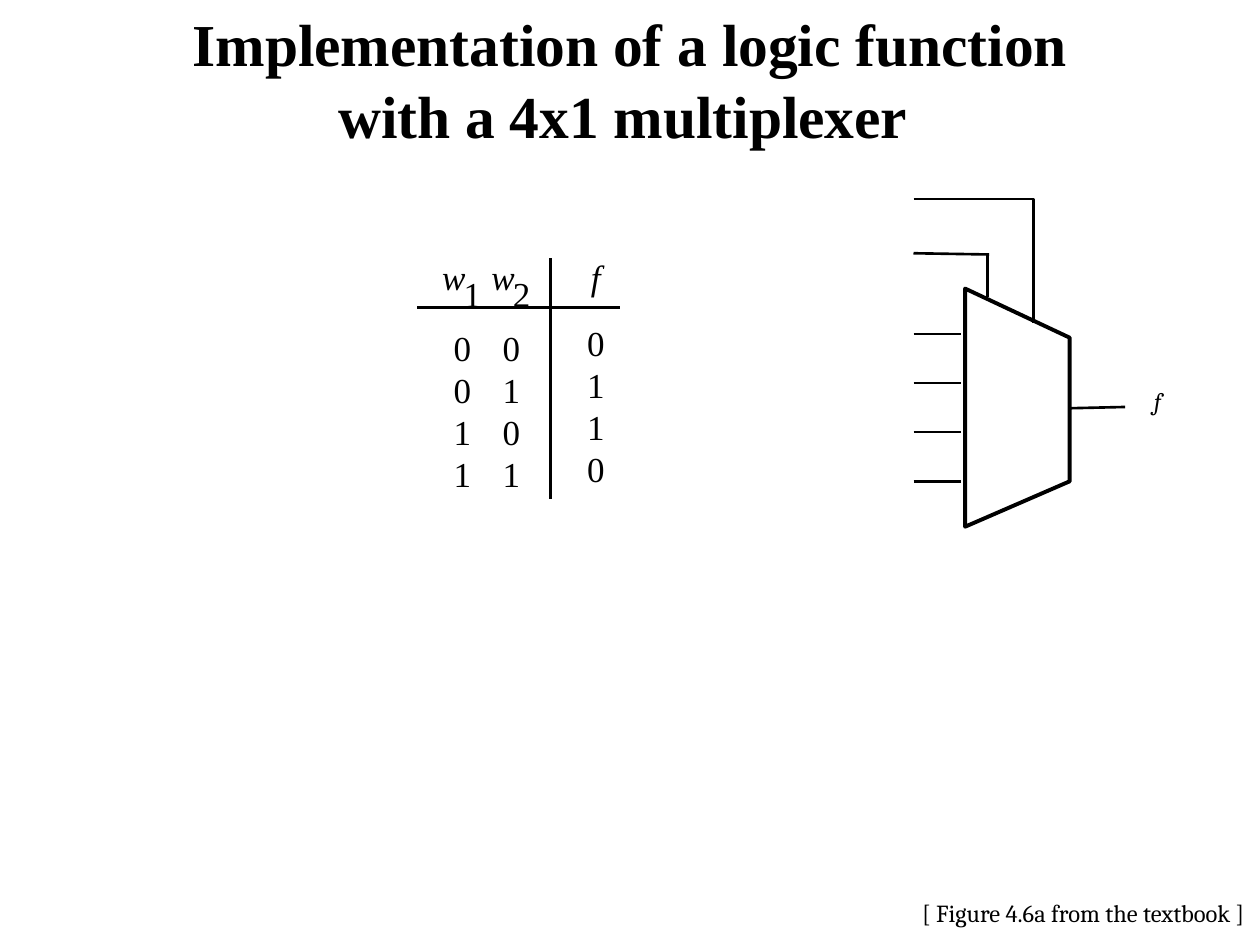
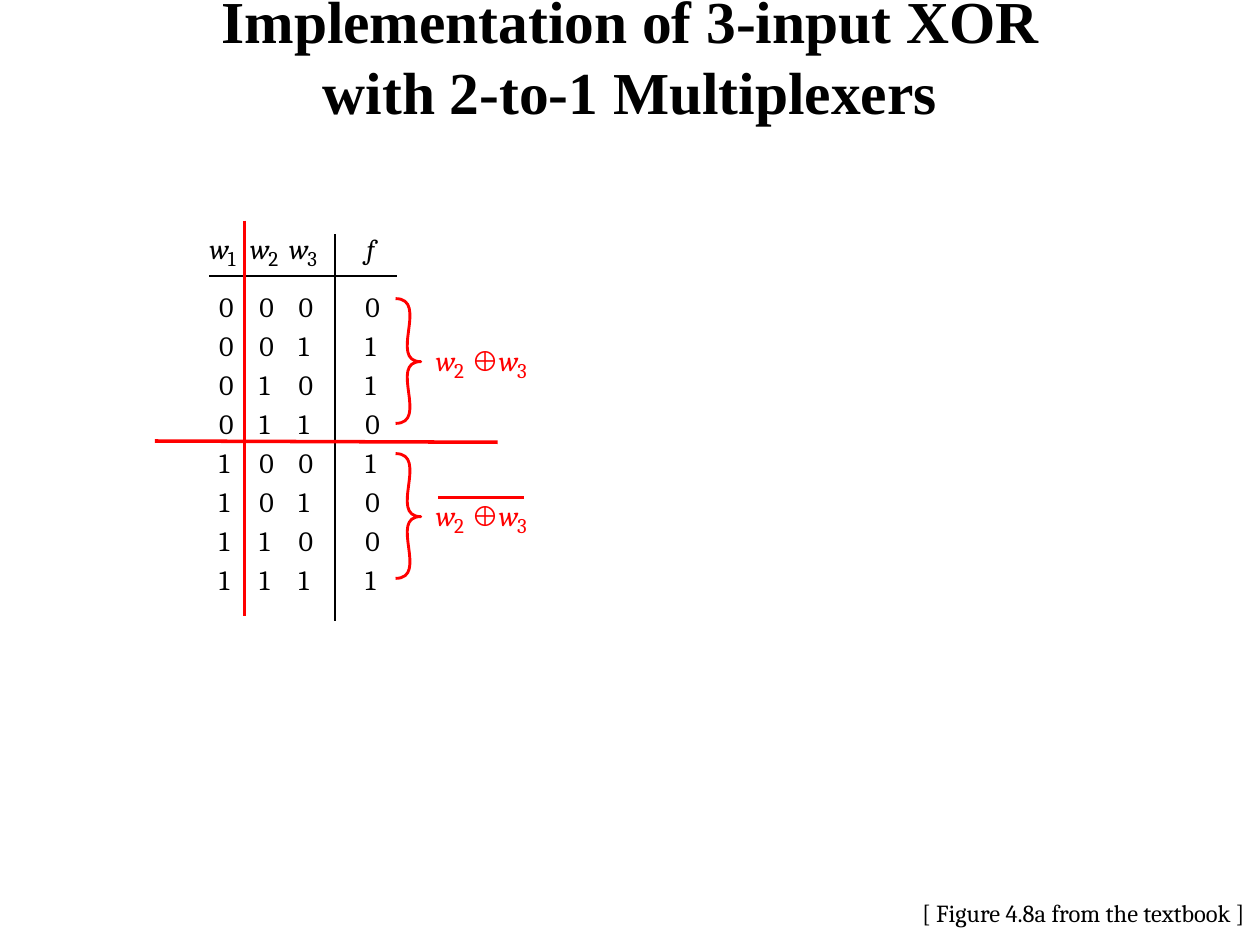
from dataclasses import dataclass
from itertools import product

from lxml import etree
from pptx import Presentation
from pptx.dml.color import RGBColor
from pptx.enum import shapes, text
from pptx.oxml.ns import qn
from pptx.util import Inches, Pt

COLORS = {"ink": "000000", "mark": "FF0000"}
SERIF = "Times New Roman"
BOOK = "Cambria"
TITLE_ONLY = 5


@dataclass
class TruthStyle:
    font: str
    size: int
    sub_size: int
    sub_dx: float
    sub_dy: float
    head_dx: float
    first_row: float
    row_step: float
    rule_width: float


LARGE = TruthStyle(SERIF, 20, 20, 0.17, 0.13, -0.09, 0.56, 0.333, 1.5)
SMALL = TruthStyle(BOOK, 16, 12, 0.145, 0.11, -0.075, 0.46, 0.309, 0.75)


def rgb(color):
    return RGBColor.from_string(COLORS[color])


def set_font(paragraph, name, size, color="ink", italic=False, bold=False):
    font = paragraph.font
    font.name, font.size = name, Pt(size)
    font.italic, font.bold = italic, bold
    font.color.rgb = rgb(color)


def add_title(slide, lines, height):
    title = slide.shapes.title
    title.left, title.top = Inches(0), Inches(0)
    title.width, title.height = Inches(10), Inches(height)
    frame = title.text_frame
    frame.auto_size = text.MSO_AUTO_SIZE.NONE
    frame.vertical_anchor = text.MSO_ANCHOR.MIDDLE
    frame.text = "\v".join(lines)
    paragraph = frame.paragraphs[0]
    paragraph.alignment = text.PP_ALIGN.CENTER
    set_font(paragraph, SERIF, 34, bold=True)
    for line_break in title._element.iter(qn("a:br")):
        props = etree.SubElement(line_break, qn("a:rPr"))
        etree.SubElement(props, qn("a:latin"), typeface=BOOK)


def add_source_note(slide, figure):
    note = slide.shapes.add_textbox(Inches(7.22), Inches(7.08), Inches(2.78), Inches(0.34))
    note.text_frame.word_wrap = False
    note.text_frame.text = f"[ Figure {figure} from the textbook ]"
    set_font(note.text_frame.paragraphs[0], BOOK, 14)


def add_symbol(slide, x, y, symbol, font, size, color="ink", italic=False):
    label = slide.shapes.add_textbox(Inches(x), Inches(y), Inches(0.26), Inches(size / 60))
    frame = label.text_frame
    frame.margin_left = frame.margin_right = frame.margin_top = frame.margin_bottom = 0
    frame.word_wrap = True
    frame.text = symbol
    set_font(frame.paragraphs[0], font, size, color, italic)


def add_variable(slide, x, y, index, style, color="ink"):
    add_symbol(slide, x, y, "w", style.font, style.size, color, italic=True)
    add_symbol(slide, x + style.sub_dx, y + style.sub_dy, str(index),
               style.font, style.sub_size, color)


def add_rule(slide, start, end, width, color="ink"):
    rule = slide.shapes.add_connector(
        shapes.MSO_CONNECTOR.STRAIGHT, *(Inches(v) for v in (*start, *end)))
    rule.line.color.rgb = rgb(color)
    rule.line.width = Pt(width)
    etree.SubElement(rule._element.spPr, qn("a:effectLst"))


def add_outline(slide, points, width, color="ink", close=False):
    start, *rest = [(Inches(x), Inches(y)) for x, y in points]
    builder = slide.shapes.build_freeform(*start)
    builder.add_line_segments(rest, close=close)
    outline = builder.convert_to_shape()
    outline.shadow.inherit = False
    outline.fill.background()
    outline.line.color.rgb = rgb(color)
    outline.line.width = Pt(width)
    return outline


def add_truth_table(slide, left, top, style, input_xs, output_x, head_x, output_dy=0):
    for index, x in enumerate(input_xs, 1):
        add_variable(slide, left + x + style.head_dx, top, index, style)
    add_symbol(slide, left + head_x, top, "f", style.font, style.size, italic=True)
    for row, inputs in enumerate(product((0, 1), repeat=len(input_xs))):
        y = top + style.first_row + row * style.row_step
        for x, bit in zip(input_xs, inputs):
            add_symbol(slide, left + x, y, str(bit), style.font, style.size)
        add_symbol(slide, left + output_x, y + output_dy, str(sum(inputs) % 2),
                   style.font, style.size)


def add_table_rules(slide, across, down, style):
    left, right, y = across
    top, bottom, x = down
    add_rule(slide, (left, y), (right, y), style.rule_width)
    add_rule(slide, (x, top), (x, bottom), style.rule_width)


def add_multiplexer(slide, left, top):
    def at(x, y):
        return left + x, top + y

    for data_input in range(4):
        y = 1.07 + 0.39 * data_input
        add_rule(slide, at(0, y), at(0.38, y), 1.5)
    add_outline(slide, [at(0, 0), at(0.95, 0), at(0.95, 0.98)], 1.5)
    add_rule(slide, at(0, 0.43), at(0.6, 0.44), 1.5)
    add_rule(slide, at(0.59, 0.43), at(0.59, 0.78), 1.5)
    body = [at(1.24, 2.24), at(1.24, 1.1), at(0.41, 0.71), at(0.41, 2.6)]
    add_outline(slide, body, 2.25, close=True)
    add_rule(slide, at(1.25, 1.66), at(1.68, 1.65), 1.5)
    add_symbol(slide, *at(1.91, 1.48), "f", BOOK, 14, italic=True)


def add_brace(slide, left, top):
    offsets = [(0, 0), (0.27, 0), (-0.06, 0.5), (0.2, 0.5),
               (-0.06, 0.5), (0.27, 0.99), (0, 0.99)]
    brace = add_outline(slide, [(left + x, top + y) for x, y in offsets], 1.63, "mark")
    segments = list(brace._element.iter(qn("a:lnTo")))
    for first in range(0, len(segments), 3):
        curve = etree.Element(qn("a:cubicBezTo"))
        segments[first].addprevious(curve)
        for segment in segments[first:first + 3]:
            curve.append(segment[0])
            segment.getparent().remove(segment)


def add_cofactor(slide, left, top, inverted=False):
    add_brace(slide, left, top)
    label_y = top + 0.36
    add_variable(slide, left + 0.32, label_y, 2, SMALL, "mark")
    add_symbol(slide, left + 0.6, label_y, "⊕", "Arial", 16, "mark")
    add_variable(slide, left + 0.82, label_y, 3, SMALL, "mark")
    if inverted:
        bar_y = top + 0.35
        add_rule(slide, (left + 0.34, bar_y), (left + 1.02, bar_y), 1.63, "mark")


def new_slide(deck, title_lines, title_height, figure):
    slide = deck.slides.add_slide(deck.slide_layouts[TITLE_ONLY])
    add_title(slide, title_lines, title_height)
    add_source_note(slide, figure)
    return slide


def build_logic_function(deck):
    lines = ["Implementation of a logic function", "with a 4x1 multiplexer "]
    slide = new_slide(deck, lines, 1.25, "4.6a")
    add_truth_table(slide, 3.51, 2.03, LARGE, (0.09, 0.48), 1.15, 1.18, -0.04)
    add_table_rules(slide, (3.31, 4.92, 2.44), (2.05, 3.96, 4.37), LARGE)
    add_multiplexer(slide, 7.25, 1.58)


def build_three_input_xor(deck):
    lines = ["Implementation of 3-input XOR", "with 2-to-1 Multiplexers"]
    slide = new_slide(deck, lines, 0.88, "4.8a")
    add_table_rules(slide, (1.66, 3.15, 2.19), (1.86, 4.93, 2.66), SMALL)
    add_truth_table(slide, 1.67, 1.84, SMALL, (0.07, 0.39, 0.7), 1.23, 1.24)
    add_cofactor(slide, 3.14, 2.37)
    add_cofactor(slide, 3.14, 3.6, inverted=True)
    add_rule(slide, (1.94, 1.75), (1.94, 4.89), 2, "mark")
    add_rule(slide, (1.23, 3.5), (3.95, 3.51), 2, "mark")


def main():
    deck = Presentation()
    deck.slide_width, deck.slide_height = Inches(10), Inches(7.5)
    build_logic_function(deck)
    build_three_input_xor(deck)
    deck.save("out.pptx")


if __name__ == "__main__":
    main()
